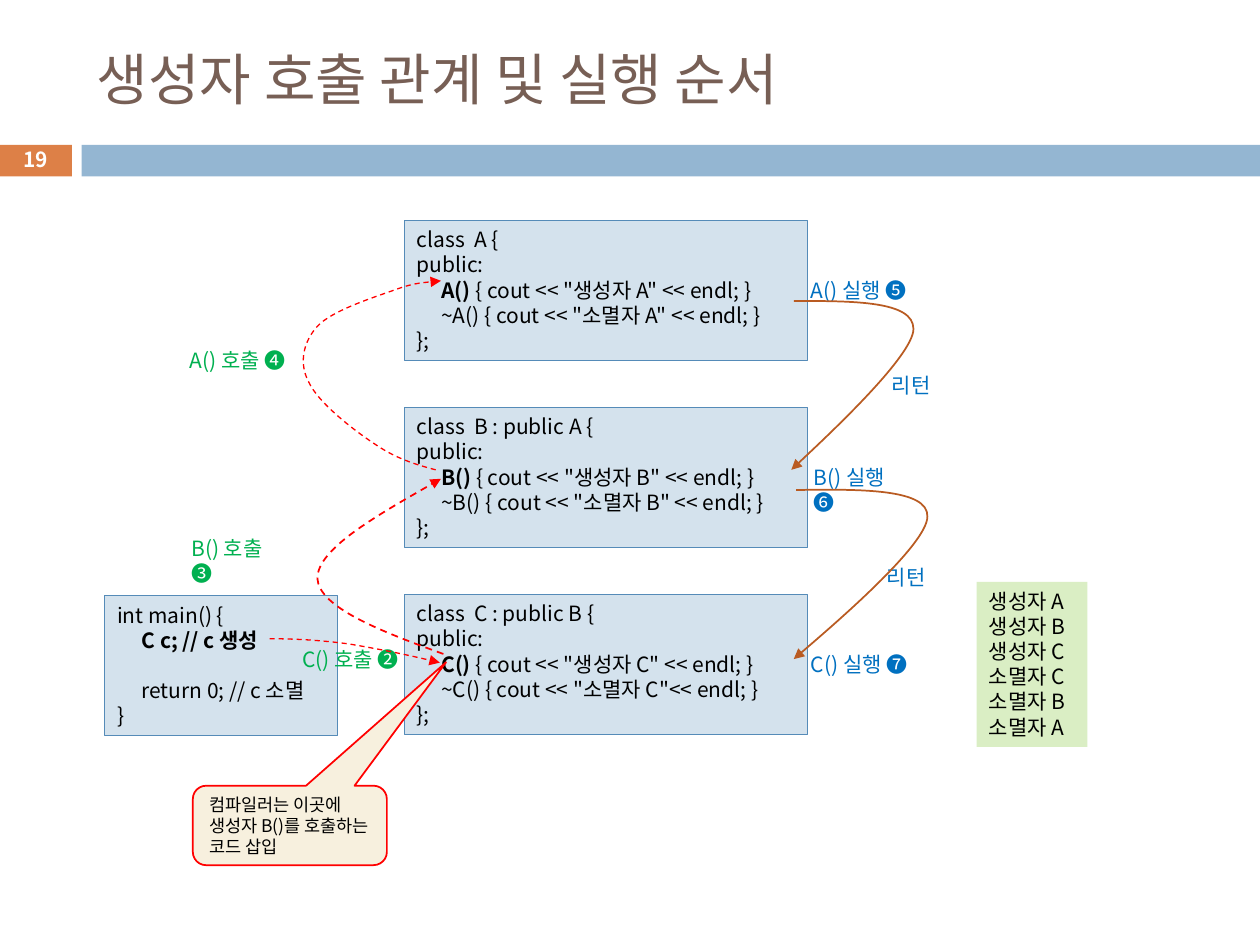
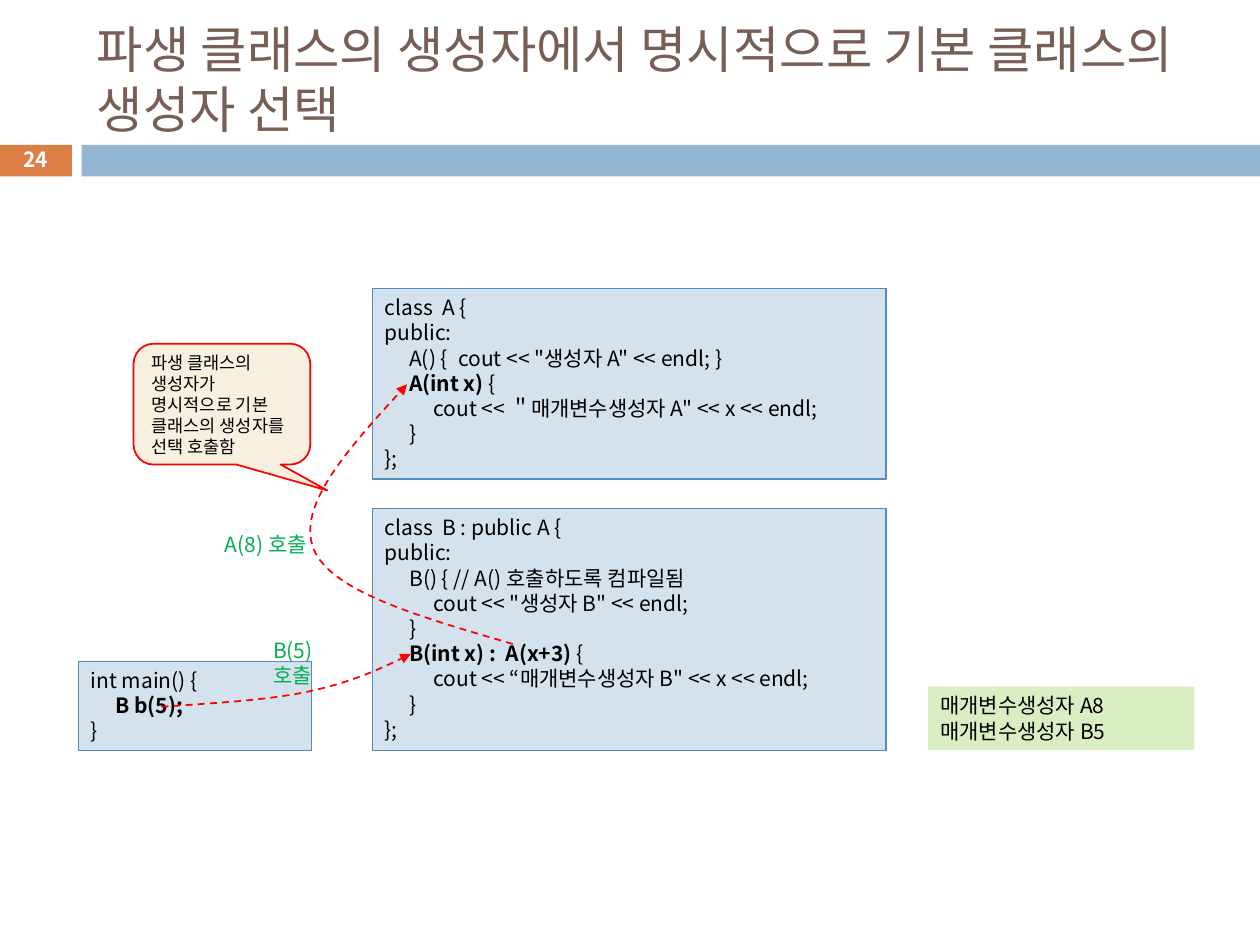
from lxml.etree import SubElement
from pptx import Presentation
from pptx.dml.color import RGBColor
from pptx.enum.dml import MSO_LINE
from pptx.enum.shapes import MSO_SHAPE
from pptx.enum.text import MSO_ANCHOR, MSO_AUTO_SIZE, PP_ALIGN
from pptx.oxml.ns import qn
from pptx.util import Pt

FONT = "Noto Sans CJK KR"
BLACK = RGBColor(0x00, 0x00, 0x00)
WHITE = RGBColor(0xFF, 0xFF, 0xFF)
BROWN = RGBColor(0x77, 0x5F, 0x55)
ORANGE = RGBColor(0xDD, 0x80, 0x47)
BAND_BLUE = RGBColor(0x94, 0xB6, 0xD2)
CODE_FILL = RGBColor(0xD4, 0xE2, 0xED)
CODE_LINE = RGBColor(0x55, 0x8B, 0xB8)
OUTPUT_FILL = RGBColor(0xDA, 0xEE, 0xC4)
CALLOUT_FILL = RGBColor(0xF7, 0xF0, 0xDE)
RED = RGBColor(0xFF, 0x00, 0x00)
RETURN_BROWN = RGBColor(0xB9, 0x5B, 0x22)
RUN_BLUE = RGBColor(0x00, 0x70, 0xC0)
CALL_GREEN = RGBColor(0x00, 0xB0, 0x50)

LINE_HEIGHT = 1.2
TAB_STEP = 14
CLASS_TOP, CLASS_PITCH = 126, 106.9


def class_lines(name, base, last_quote):
    return [f"class  {name}{base} {{", "public:",
            f"\t*{name}() *{{ cout << \"생성자 {name}\" << endl; }}",
            f"\t~{name}() {{ cout << \"소멸자 {name}{last_quote}<< endl; }}",
            "};"]


# Code lines: text between asterisks is bold. Boxes are (left, top, width, height).
# Curves list a start point, then three points for each Bézier segment.
CALL_ORDER = {
    "title": "생성자 호출 관계 및 실행 순서", "title_size": 32, "number": "19",
    "code": [
        ((231.1, CLASS_TOP + row * CLASS_PITCH, 230.4, 80),
         class_lines(name, base, quote), None)
        for row, (name, base, quote) in enumerate(
            [("A", "", '" '), ("B", " : public A", '" '), ("C", " : public B", '"')])
    ] + [
        ((59.8, 340.5, 133.2, 80),
         ["int main() {", "\t*C c; // c 생성*", "\treturn 0; // c 소멸", "}"], 2),
    ],
    "output": ((558, 332.5, 63.4, 94.3),
               ["생성자 A", "생성자 B", "생성자 C", "소멸자 C", "소멸자 B", "소멸자 A"]),
    "calls": [
        (0.75, [(249, 268.5), (237.6, 265.5), (226, 262), (213.8, 253.5),
                (201.6, 245.5), (181.5, 229.7), (176.4, 218.2),
                (170.6, 207.4), (173.5, 195.1), (181.4, 186.5),
                (189.4, 177.8), (211.7, 170.6), (223.9, 166.3),
                (235.4, 162), (243.4, 161.3), (252, 160.5)]),
        (0.75, [(154, 365), (168.5, 365), (182.9, 365.8), (199.4, 368),
                (216, 370.8), (234, 374.4), (251.3, 378.7)]),
        (1, [(253.4, 373.7), (217.4, 360.7), (182.2, 347), (181.4, 330.5),
             (181.4, 313.9), (216.7, 293.8), (252, 273.6)]),
    ],
    "returns": [
        (1, [(453.6, 172), (488.2, 172), (522, 172), (522, 188),
             (522, 203.8), (452.2, 268.5), (452.2, 268.5)]),
        (1, [(455, 280), (492.5, 279.4), (530.6, 279.4), (530, 295.2),
             (530, 311.8), (453.6, 376.6), (453.6, 376.6)]),
    ],
    "labels": [
        ("A() 실행 ❺", 456.2, 154.8, 78, RUN_BLUE),
        ("B() 실행 ❻", 457.9, 262, 68, RUN_BLUE),
        ("C() 실행 ❼", 456.2, 368.6, 80, RUN_BLUE),
        ("C() 호출 ❷", 165.6, 365.8, 78, CALL_GREEN),
        ("B() 호출 ❸", 102.2, 302.4, 68, CALL_GREEN),
        ("A() 호출 ❹", 101.2, 195.1, 78, CALL_GREEN),
        ("리턴", 502.6, 209.5, 40, RUN_BLUE),
        ("리턴", 499.7, 319, 40, RUN_BLUE),
    ],
    "callout": ((110.2, 449, 110.9, 45.4), (0.805, -2.054),
                ["컴파일러는 이곳에", "생성자 B()를 호출하는 코드 삽입"]),
}

BASE_CHOICE = {
    "title": "파생 클래스의 생성자에서 명시적으로 기본 클래스의 생성자 선택",
    "title_size": 28.8, "number": "24",
    "code": [
        ((212.8, 164.9, 293.6, 108.9),
         ["class  A {", "public:", "\tA() { \tcout << \"생성자 A\" << endl; }",
          "\t*A(int x) *{", "\t\tcout << ＂매개변수생성자 A\" << x << endl;",
          "\t}", "};"], None),
        ((212.8, 290.6, 293.6, 138.2),
         ["class  B : public A {", "public:", "\tB() { // A() 호출하도록 컴파일됨",
          "\t\tcout << \"생성자 B\" << endl;", "\t}", "\t*B(int x) :  A(x+3) *{",
          "\t\tcout << “매개변수생성자 B\" << x << endl;", "\t}", "};"], None),
        ((44.8, 377.8, 133.2, 51), ["int main() {", "\t*B b(5);*", "}"], None),
    ],
    "output": ((530.2, 392.4, 152.4, 36.2), ["매개변수생성자 A8", "매개변수생성자 B5"]),
    "calls": [
        (1, [(293, 368), (241.2, 352.8), (189.4, 338.4), (179.3, 313.9),
             (169.2, 289.4), (200.9, 254.2), (232.6, 219.6)]),
        (1, [(92.2, 403.9), (121.7, 401.8), (151.9, 400.3), (175.7, 395.3),
             (199.4, 390.2), (217.4, 382.3), (234.7, 373.7)]),
    ],
    "returns": [],
    "labels": [
        ("B(5) 호출", 149, 360.7, 61, CALL_GREEN),
        ("A(8) 호출", 121.4, 300.2, 70, CALL_GREEN),
    ],
    "callout": ((76.3, 196.4, 101, 69.1), (0.597, 0.714),
                ["파생 클래스의 생성자가 명시적으로 기본 클래스의 생성자를 선택 호출함"]),
}


def write_text(shape, lines, size=12, color=BLACK, bold=False, align=PP_ALIGN.LEFT,
               anchor=MSO_ANCHOR.TOP, gap_line=None):
    """Fill a shape with lines; one line's height is left free before line gap_line."""
    frame = shape.text_frame
    frame.word_wrap = True
    frame.auto_size = MSO_AUTO_SIZE.NONE
    frame.vertical_anchor = anchor
    for index, line in enumerate(lines):
        paragraph = frame.paragraphs[0] if index == 0 else frame.add_paragraph()
        paragraph.alignment = align
        paragraph.line_spacing = Pt(size * LINE_HEIGHT)
        if index == gap_line:
            paragraph.space_before = Pt(size * LINE_HEIGHT)
        if "\t" in line:
            add_tab_stops(paragraph)
        for part, text in enumerate(line.split("*")):
            if text:
                run = paragraph.add_run()
                run.text = text
                run.font.size = Pt(size)
                run.font.bold = bold or part % 2 == 1
                run.font.color.rgb = color
                run.font.name = FONT
                SubElement(run.font._element, qn("a:ea"), typeface=FONT)


def add_tab_stops(paragraph):
    tab_list = SubElement(paragraph._p.get_or_add_pPr(), qn("a:tabLst"))
    for stop in range(1, 6):
        SubElement(tab_list, qn("a:tab"), pos=str(Pt(stop * TAB_STEP)), algn="l")


def add_box(slide, box, fill, line=None, line_width=0.75, kind=MSO_SHAPE.RECTANGLE):
    shape = slide.shapes.add_shape(kind, *map(Pt, box))
    shape.shadow.inherit = False
    shape.fill.solid()
    shape.fill.fore_color.rgb = fill
    if line is None:
        shape.line.fill.background()
    else:
        shape.line.color.rgb = line
        shape.line.width = Pt(line_width)
    return shape


def add_curved_arrow(slide, points, color, width, dashed=False):
    start, *rest = [(Pt(x), Pt(y)) for x, y in points]
    builder = slide.shapes.build_freeform(*start)
    builder.add_line_segments(rest, close=False)
    arrow = builder.convert_to_shape()
    arrow.shadow.inherit = False
    arrow.fill.background()
    arrow.line.color.rgb = color
    arrow.line.width = Pt(width)
    if dashed:
        arrow.line.dash_style = MSO_LINE.DASH
    SubElement(arrow.line._get_or_add_ln(), qn("a:tailEnd"), type="triangle")
    bend_segments(arrow)


def bend_segments(freeform):
    """Turn each three straight segments into one cubic Bézier segment."""
    segments = list(freeform._element.iter(qn("a:lnTo")))
    outline = segments[0].getparent()
    for first in range(0, len(segments), 3):
        curve = SubElement(outline, qn("a:cubicBezTo"))
        for segment in segments[first:first + 3]:
            curve.append(segment[0])
            outline.remove(segment)


def add_frame(slide, content):
    """Place the title, the two bands and the slide number."""
    add_box(slide, (-0.7, 82.8, 41.8, 18), ORANGE)
    add_box(slide, (46.6, 82.8, 673.4, 18), BAND_BLUE)
    title = slide.shapes.title
    title.left, title.top, title.width, title.height = map(Pt, (48.2, 18, 642.2, 53.3))
    write_text(title, [content["title"]], size=content["title_size"], color=BROWN,
               anchor=MSO_ANCHOR.MIDDLE)
    number = slide.shapes.add_textbox(*map(Pt, (-0.7, 81.4, 41.8, 19.4)))
    write_text(number, [content["number"]], size=11.9, color=WHITE, bold=True,
               align=PP_ALIGN.CENTER, anchor=MSO_ANCHOR.MIDDLE)


def add_callout(slide, box, tip, lines):
    callout = add_box(slide, box, CALLOUT_FILL, line=RED, line_width=1,
                      kind=MSO_SHAPE.ROUNDED_RECTANGULAR_CALLOUT)
    for index, value in enumerate(tip):
        callout.adjustments[index] = value
    write_text(callout, lines, size=10, anchor=MSO_ANCHOR.MIDDLE)


def build_slide(presentation, content):
    slide = presentation.slides.add_slide(presentation.slide_layouts[5])
    add_frame(slide, content)
    for box, lines, gap_line in content["code"]:
        write_text(add_box(slide, box, CODE_FILL, line=CODE_LINE), lines, gap_line=gap_line)
    output_box, output_lines = content["output"]
    write_text(add_box(slide, output_box, OUTPUT_FILL), output_lines)
    for text, left, top, width, color in content["labels"]:
        label = slide.shapes.add_textbox(Pt(left), Pt(top), Pt(width), Pt(21.6))
        write_text(label, [text], color=color)
    for width, points in content["calls"]:
        add_curved_arrow(slide, points, RED, width, dashed=True)
    for width, points in content["returns"]:
        add_curved_arrow(slide, points, RETURN_BROWN, width)
    add_callout(slide, *content["callout"])


def main():
    presentation = Presentation()
    presentation.slide_width, presentation.slide_height = Pt(720), Pt(540)
    for content in (CALL_ORDER, BASE_CHOICE):
        build_slide(presentation, content)
    presentation.save("out.pptx")


if __name__ == "__main__":
    main()
